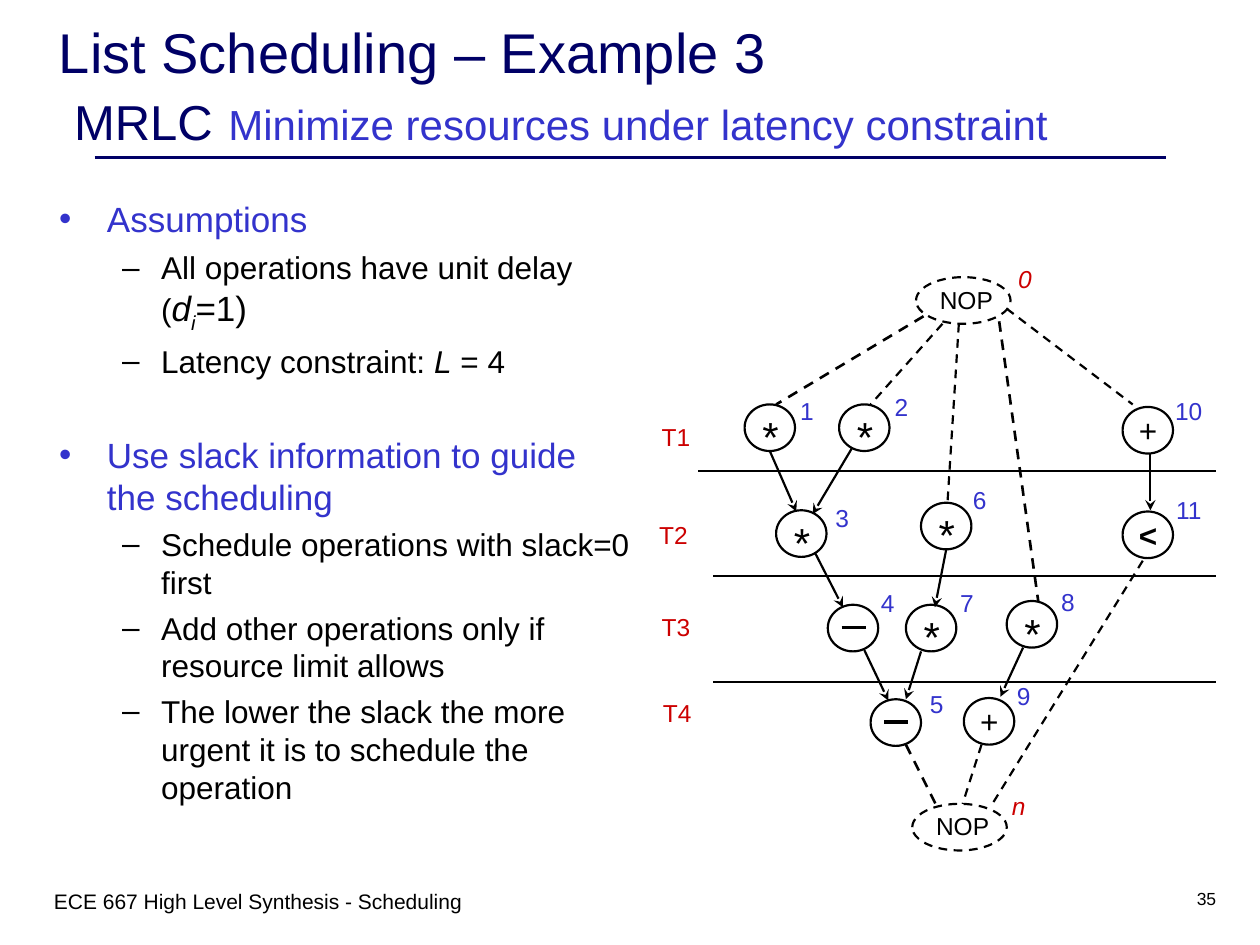
"""Build the List Scheduling Example 3 slide with its sequencing graph."""
from lxml.etree import SubElement
from pptx import Presentation
from pptx.dml.color import RGBColor
from pptx.enum.dml import MSO_LINE_DASH_STYLE as Dash
from pptx.enum.shapes import MSO_CONNECTOR as Link, MSO_SHAPE as Shape
from pptx.enum.text import MSO_ANCHOR as Anchor, PP_ALIGN as Align
from pptx.oxml.ns import qn
from pptx.util import Inches, Pt

NAVY, BLUE, RED, BLACK = "000066", "3333CC", "CC0000", "000000"
rgb = RGBColor.from_string

deck = Presentation()
deck.slide_width, deck.slide_height = Inches(10), Inches(7.5)
slide = deck.slides.add_slide(deck.slide_layouts[6])
shapes = slide.shapes


def add_text(box, paragraphs, align=Align.LEFT, wrap=False):
    """Add a text box; each paragraph is a list of (text, size, colour, style)."""
    frame = shapes.add_textbox(*map(Inches, box)).text_frame
    frame.word_wrap = wrap
    for index, runs in enumerate(paragraphs):
        paragraph = frame.paragraphs[0] if index == 0 else frame.add_paragraph()
        paragraph.alignment = align
        for text, size, colour, style in runs:
            run = paragraph.add_run()
            run.text = text
            run.font.name, run.font.size = "Arial", Pt(size)
            run.font.color.rgb = rgb(colour)
            run.font.bold, run.font.italic = "b" in style, "i" in style
            if "sub" in style:
                run.font._element.set("baseline", "-25000")
    return frame


def add_line(start, end, width=1.25, colour=BLACK, dashed=False, arrow=False):
    """Add a straight line, dashed or with an arrowhead at its end."""
    line = shapes.add_connector(Link.STRAIGHT, *map(Inches, (*start, *end)))
    line.line.width = Pt(width)
    line.line.color.rgb = rgb(colour)
    if dashed:
        line.line.dash_style = Dash.DASH
    if arrow:
        SubElement(line.get_or_add_ln(), qn("a:tailEnd"), type="stealth")
    SubElement(line._element.spPr, qn("a:effectLst"))


add_line((0.75, 1.25), (9.25, 1.25), 2.25, NAVY)
title = add_text((0.37, 0.17, 9.06, 1), [
    [("List Scheduling – Example 3", 32, NAVY, "")],
    [("MRLC", 28, NAVY, ""), (" ", 32, NAVY, ""),
     ("Minimize resources under latency constraint", 24, BLUE, "")],
], wrap=True)
title.vertical_anchor = Anchor.MIDDLE
title.paragraphs[1]._p.get_or_add_pPr().set("marL", str(Inches(0.12)))

outline = [
    (0, 0, [("Assumptions", 20, BLUE, "")]),
    (1, 5, [("All operations have unit delay (", 18, BLACK, ""), ("d", 20, BLACK, "i"),
            ("i", 20, BLACK, ("i", "sub")), ("=1)", 20, BLACK, "")]),
    (1, 4.5, [("Latency constraint: ", 18, BLACK, ""), ("L", 18, BLACK, "i"),
              (" = 4", 18, BLACK, "")]),
    (0, 30.5, [("Use slack information to guide the scheduling", 20, BLUE, "")]),
    (1, 4.5, [("Schedule operations with slack=0 first", 18, BLACK, "")]),
    (1, 4.5, [("Add other operations only if resource limit allows", 18, BLACK, "")]),
    (1, 4.5, [("The lower the slack the more urgent it is to schedule the operation",
               18, BLACK, "")]),
]
levels = [(0.38, -0.38, "•", BLUE), (0.81, -0.31, "–", BLACK)]
body = add_text((0.37, 1.52, 4.75, 5.21), [runs for _, _, runs in outline], wrap=True)
for paragraph, (level, gap, _) in zip(body.paragraphs, outline):
    margin, indent, bullet, colour = levels[level]
    paragraph.level = level
    paragraph.space_before = Pt(gap)
    properties = paragraph._p.get_or_add_pPr()
    properties.set("marL", str(Inches(margin)))
    properties.set("indent", str(Inches(indent)))
    SubElement(SubElement(properties, qn("a:buClr")), qn("a:srgbClr"), val=colour)
    SubElement(properties, qn("a:buFont"), typeface="Arial")
    SubElement(properties, qn("a:buChar"), char=bullet)

dashed_edges = [
    ((7.33, 2.51), (6.16, 3.21), 1.5), ((7.48, 2.57), (6.91, 3.21), 1.25),
    ((7.61, 2.57), (7.52, 3.99), 1.25), ((7.93, 2.55), (8.24, 4.77), 1.5),
    ((7.99, 2.45), (8.99, 3.21), 1.25), ((7.19, 5.91), (7.43, 6.39), 1.5),
    ((7.79, 5.91), (7.64, 6.38), 1.25), ((9.07, 4.45), (7.87, 6.39), 1.25),
]
for start, end, width in dashed_edges:
    add_line(start, end, width, dashed=True)

arrows = [
    ((6.11, 3.58), (6.32, 4.06)), ((6.76, 3.56), (6.45, 4.08)),
    ((6.47, 4.39), (6.69, 4.82)), ((6.86, 5.16), (7.05, 5.56)),
    ((7.51, 4.36), (7.42, 4.82)), ((7.31, 5.17), (7.19, 5.55)),
    ((8.12, 5.14), (7.94, 5.53)), ((9.13, 3.6), (9.13, 4.05)),
]
for start, end in arrows:
    add_line(start, end, arrow=True)

nodes = [
    (5.91, 3.21, "*", "1", 6.25, 3.09), (6.66, 3.21, "*", "2", 7, 3.06),
    (6.16, 4.05, "*", "3", 6.53, 3.94), (6.57, 4.8, "−", "4", 6.89, 4.62),
    (6.91, 5.55, "−", "5", 7.28, 5.42), (7.31, 3.99, "*", "6", 7.62, 3.8),
    (7.19, 4.8, "*", "7", 7.52, 4.62), (7.99, 4.77, "*", "8", 8.32, 4.61),
    (7.65, 5.54, "+", "9", 7.97, 5.36), (8.91, 3.23, "+", "10", 9.21, 3.09),
    (8.91, 4.06, "<", "11", 9.21, 3.88),
    (7.27, 2.2, "NOP", "0", 7.98, 2.05), (7.24, 6.38, "NOP", "n", 7.93, 6.23),
]
symbols = {
    "*": (0.04, 0, 0.33, 0.5, 24, ""),
    "+": (0.03, -0.02, 0.34, 0.4, 18, ""),
    "<": (0.03, -0.01, 0.34, 0.4, 18, "b"),
    "NOP": (0.09, 0.01, 0.62, 0.34, 14, ""),
}
for left, top, symbol, label, label_left, label_top in nodes:
    is_nop = symbol == "NOP"
    node = shapes.add_shape(Shape.OVAL, Inches(left), Inches(top),
                            Inches(0.75 if is_nop else 0.4), Inches(0.37))
    node.shadow.inherit = False
    node.fill.background()
    node.line.color.rgb = rgb(BLACK)
    node.line.width = Pt(1.25)
    if is_nop:
        node.line.dash_style = Dash.DASH
    if symbol == "−":
        add_line((left + 0.11, top + 0.18), (left + 0.3, top + 0.18), 2.25)
    else:
        dx, dy, width, height, size, style = symbols[symbol]
        add_text((left + dx, top + dy, width, height),
                 [[(symbol, size, BLACK, style)]], Align.CENTER)
    add_text((label_left, label_top, 0.45 if len(label) > 1 else 0.31, 0.34),
             [[(label, 14, RED if is_nop else BLUE, "i" if is_nop else "")]], Align.CENTER)

for left, top in [(5.54, 3.74), (5.66, 4.57), (5.66, 5.41)]:
    add_line((left, top), (9.65, top))
for step, (left, top) in enumerate([(5.15, 3.3), (5.13, 4.08), (5.15, 4.81), (5.16, 5.49)], 1):
    add_text((left, top, 0.43, 0.34), [[(f"T{step}", 14, RED, "")]], Align.CENTER)

add_text((0.33, 7, 4.5, 0.5),
         [[("ECE 667 High Level Synthesis - Scheduling", 12, BLACK, "")]], wrap=True)
add_text((7.67, 7, 2.08, 0.5), [[("35", 10, BLACK, "")]], Align.RIGHT, wrap=True)

deck.save("out.pptx")
